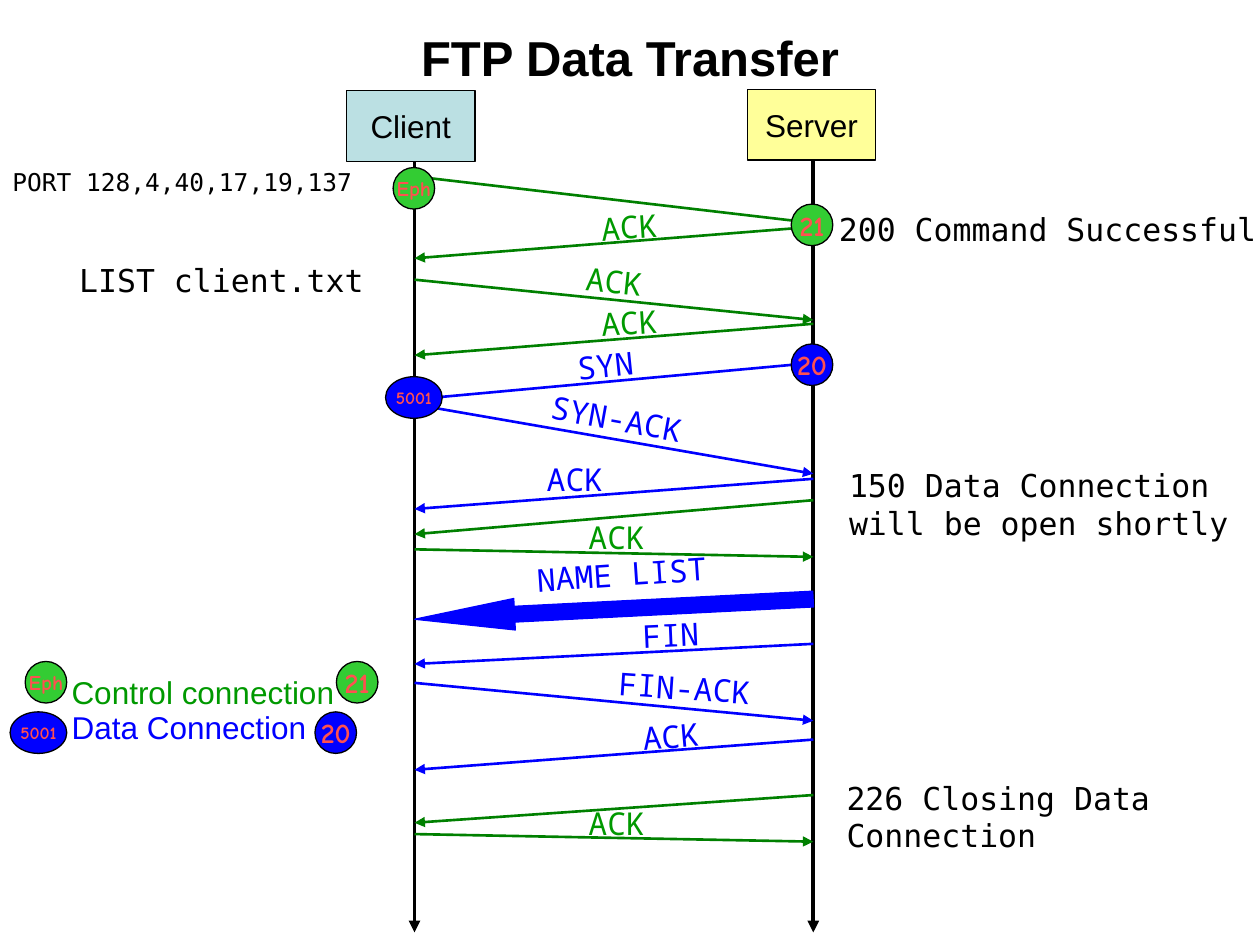
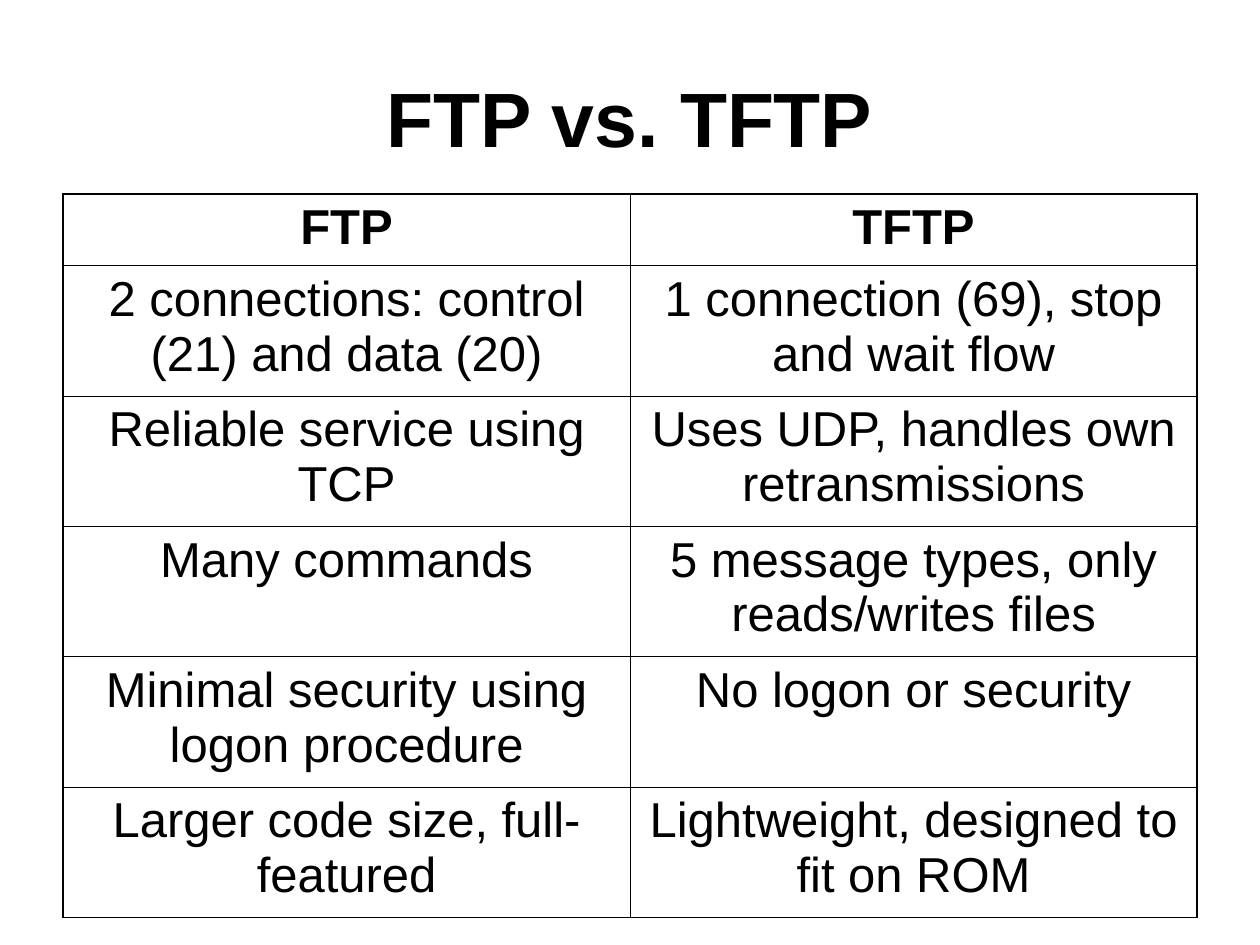
from typing import NamedTuple, Optional

from lxml.etree import SubElement
from pptx import Presentation
from pptx.dml.color import RGBColor
from pptx.enum.shapes import MSO_CONNECTOR as Link, MSO_SHAPE as Geo
from pptx.enum.text import MSO_ANCHOR as Anchor, PP_ALIGN as Align
from pptx.oxml.ns import qn
from pptx.util import Inches, Pt

COLORS = {
    "ink": "000000", "control": "008000", "control_text": "009900",
    "data": "0000FF", "badge": "33CC33", "badge_text": "FF5050",
    "client": "BBE0E3", "server": "FFFF99",
}
SANS, MONO, LABEL_MONO, COMIC = "Arial", "DejaVu Sans Mono", "Noto Sans Mono", "Comic Neue"

# The slide is a grid of 100 columns by 75 rows of square cells.
COLS, ROWS = 100, 75
WIDTH, HEIGHT = Inches(10), Inches(7.5)
CLIENT_X, SERVER_X = 32.9, 64.55


class Box(NamedTuple):
    x: float
    y: float
    w: float
    h: float


class Label(NamedTuple):
    text: str
    x: float
    y: float
    w: float = 6.5
    angle: float = 0


class Message(NamedTuple):
    channel: str
    to_server: bool
    start: float
    end: float
    label: Optional[Label] = None


class Note(NamedTuple):
    text: str
    box: Box
    size: float = 18


class Port(NamedTuple):
    text: str
    size: float
    fill: str
    w: float = 3.3


EPHEMERAL = Port("Eph", 12, "badge")
CONTROL_PORT = Port("21", 16, "badge")
CLIENT_DATA = Port("5001", 10, "data", 4.5)
SERVER_DATA = Port("20", 16, "data")

MESSAGES = [
    Message("control", True, 14, 17.7),
    Message("control", False, 18, 20.5, Label("ACK", 46.7, 16, angle=-3.9)),
    Message("control", True, 22.2, 25.4, Label("ACK", 45.5, 20.3, angle=6)),
    Message("control", False, 25.7, 28.2, Label("ACK", 46.7, 23.6, angle=-3.9)),
    Message("data", False, 28.8, 31.7, Label("SYN", 44.8, 26.8, 10.3, -5.9)),
    Message("data", True, 32.1, 37.6, Label("SYN-ACK", 42.7, 31.4, 14.7, 10.3)),
    Message("data", False, 38, 40.4, Label("ACK", 42.4, 36, 9.2)),
    Message("control", False, 39.7, 42.4),
    Message("control", True, 43.6, 44.2, Label("ACK", 45.7, 40.6)),
    Message("data", False, 51.1, 52.7, Label("FIN", 50, 48.3, 9.2, -2.5)),
    Message("data", True, 54.2, 57.2, Label("FIN-ACK", 48.1, 52.7, 16.2, 3.9)),
    Message("data", False, 58.7, 61.1, Label("ACK", 50, 56.3, 9.2, -4.9)),
    Message("control", False, 63.1, 65.3),
    Message("control", True, 66.2, 66.8, Label("ACK", 45.7, 63.3)),
]
NAME_LIST = Label("NAME LIST", 41.6, 43.4, 20.1, -3.9)

NOTES = [
    Note("PORT 128,4,40,17,19,137", Box(0, 12.8, 31.6, 3.4), 14),
    Note("200 Command Successful", Box(65.6, 16.2, 36.6, 4)),
    Note("LIST client.txt", Box(5.3, 20.2, 26.4, 4)),
    Note("150 Data Connection will be open shortly", Box(66.4, 36.5, 33.6, 7)),
    Note("226 Closing Data Connection", Box(66.2, 61.3, 33.8, 7)),
]

PORTS = [
    (EPHEMERAL, 31.2, 13.3), (EPHEMERAL, 2, 52.5),
    (CONTROL_PORT, 62.8, 16.2), (CONTROL_PORT, 26.7, 52.5),
    (CLIENT_DATA, 30.6, 29.9), (SERVER_DATA, 62.8, 27.3),
    (CLIENT_DATA, 0.8, 56.5), (SERVER_DATA, 25, 56.5),
]

COMPARISON = [
    ("FTP", "TFTP"),
    ("2 connections: control (21) and data (20)", "1 connection (69), stop and wait flow"),
    ("Reliable service using TCP", "Uses UDP, handles own retransmissions"),
    ("Many commands", "5 message types, only reads/writes files"),
    ("Minimal security using logon procedure", "No logon or security"),
    ("Larger code size, full-featured", "Lightweight, designed to fit on ROM"),
]


def col(n: float) -> int:
    return round(WIDTH * n / COLS)


def row(n: float) -> int:
    return round(HEIGHT * n / ROWS)


def place(box: Box) -> tuple[int, int, int, int]:
    return col(box.x), row(box.y), col(box.w), row(box.h)


def rgb(name: str) -> RGBColor:
    return RGBColor.from_string(COLORS[name])


def write(tf, text: str, *, size: float = 18, font: str = SANS, color: str = "ink",
          bold: bool = False, align=Align.LEFT, anchor=Anchor.TOP, wrap: bool = True) -> None:
    tf.word_wrap = wrap
    tf.vertical_anchor = anchor
    p = tf.paragraphs[0]
    p.alignment = align
    r = p.add_run()
    r.text = text
    r.font.size, r.font.name, r.font.bold = Pt(size), font, bold
    r.font.color.rgb = rgb(color)


def add_text(slide, text: str, box: Box, angle: float = 0, **fmt) -> None:
    s = slide.shapes.add_textbox(*place(box))
    s.rotation = angle
    write(s.text_frame, text, **fmt)


def add_title(slide, text: str, y: float, size: float) -> None:
    add_text(slide, text, Box(5, y, 90, 12.5), size=size, bold=True,
             align=Align.CENTER, anchor=Anchor.MIDDLE)


def add_filled(slide, geo, box: Box, fill: str, line: str = "ink"):
    s = slide.shapes.add_shape(geo, *place(box))
    s.shadow.inherit = False
    s.fill.solid()
    s.fill.fore_color.rgb = rgb(fill)
    s.line.color.rgb = rgb(line)
    s.line.width = Pt(0.75)
    return s


def add_captioned(slide, geo, box: Box, fill: str, text: str, **fmt) -> None:
    s = add_filled(slide, geo, box, fill)
    write(s.text_frame, text, align=Align.CENTER, anchor=Anchor.MIDDLE, wrap=False, **fmt)


def add_arrow(slide, x1: float, y1: float, x2: float, y2: float,
              color: str, width: float = 1.5) -> None:
    c = slide.shapes.add_connector(Link.STRAIGHT, col(x1), row(y1), col(x2), row(y2))
    c.line.color.rgb = rgb(color)
    c.line.width = Pt(width)
    SubElement(c.line._get_or_add_ln(), qn("a:tailEnd"), type="triangle")
    SubElement(c._element.spPr, qn("a:effectLst"))


def add_label(slide, label: Label, channel: str) -> None:
    """Control labels are centred on one line; data labels start at the left."""
    control = channel == "control"
    add_text(slide, label.text, Box(label.x, label.y, label.w, 4), label.angle,
             font=LABEL_MONO, color="control_text" if control else "data",
             align=Align.CENTER if control else Align.LEFT, wrap=not control)


def add_message(slide, msg: Message) -> None:
    x1, x2 = (CLIENT_X, SERVER_X) if msg.to_server else (SERVER_X, CLIENT_X)
    add_arrow(slide, x1, msg.start, x2, msg.end, msg.channel)
    if msg.label:
        add_label(slide, msg.label, msg.channel)


def set_borders(cell, **widths: float) -> None:
    tc_pr = cell._tc.get_or_add_tcPr()
    for side, width in widths.items():
        ln = SubElement(tc_pr, qn(f"a:ln{side}"), w=str(Pt(width)))
        fill = SubElement(ln, qn("a:solidFill"))
        SubElement(fill, qn("a:srgbClr"), val=COLORS["ink"])


def build_transfer(slide) -> None:
    add_title(slide, "FTP Data Transfer", -1.7, 28)
    for x in (CLIENT_X, SERVER_X):
        add_arrow(slide, x, 11.5, x, 74, "ink", 2.25)
    for msg in MESSAGES:
        add_message(slide, msg)

    block = add_filled(slide, Geo.LEFT_ARROW, Box(CLIENT_X, 47.1, SERVER_X - CLIENT_X, 2.5),
                       "data", "data")
    block.adjustments[0], block.adjustments[1] = 0.5, 3.17
    block.rotation = -2.9
    add_label(slide, NAME_LIST, "data")

    for note in NOTES:
        add_text(slide, note.text, note.box, size=note.size, font=MONO)
    for text, y, w, color in (("Control connection", 52.9, 24.8, "control_text"),
                              ("Data Connection", 55.7, 22.6, "data")):
        add_text(slide, text, Box(3.7, y, w, 4), color=color, align=Align.CENTER, wrap=False)
    for text, x, y, fill in (("Client", 27.5, 7.2, "client"), ("Server", 59.3, 7.1, "server")):
        add_captioned(slide, Geo.RECTANGLE, Box(x, y, 10.2, 5.6), fill, text)
    for port, x, y in PORTS:
        add_captioned(slide, Geo.OVAL, Box(x, y, port.w, 3.3), port.fill, port.text,
                      size=port.size, font=COMIC, color="badge_text", bold=True)


def build_comparison(slide) -> None:
    add_title(slide, "FTP vs. TFTP", 3, 44)
    last_row, last_col = len(COMPARISON) - 1, len(COMPARISON[0]) - 1
    heights = [5.7] + [10.3] * last_row
    table = slide.shapes.add_table(last_row + 1, last_col + 1,
                                   *place(Box(5, 15.4, 90, sum(heights)))).table
    table.first_row = table.horz_banding = False
    for i, texts in enumerate(COMPARISON):
        table.rows[i].height = row(heights[i])
        for j, text in enumerate(texts):
            cell = table.cell(i, j)
            edges = {"L": j == 0, "R": j == last_col, "T": i == 0, "B": i == last_row}
            set_borders(cell, **{side: 1.08 if outer else 0.45 for side, outer in edges.items()})
            cell.fill.background()
            write(cell.text_frame, text, size=28, bold=i == 0, align=Align.CENTER)


def main() -> None:
    prs = Presentation()
    prs.slide_width, prs.slide_height = WIDTH, HEIGHT
    for build in (build_transfer, build_comparison):
        build(prs.slides.add_slide(prs.slide_layouts[6]))
    prs.save("out.pptx")


if __name__ == "__main__":
    main()
